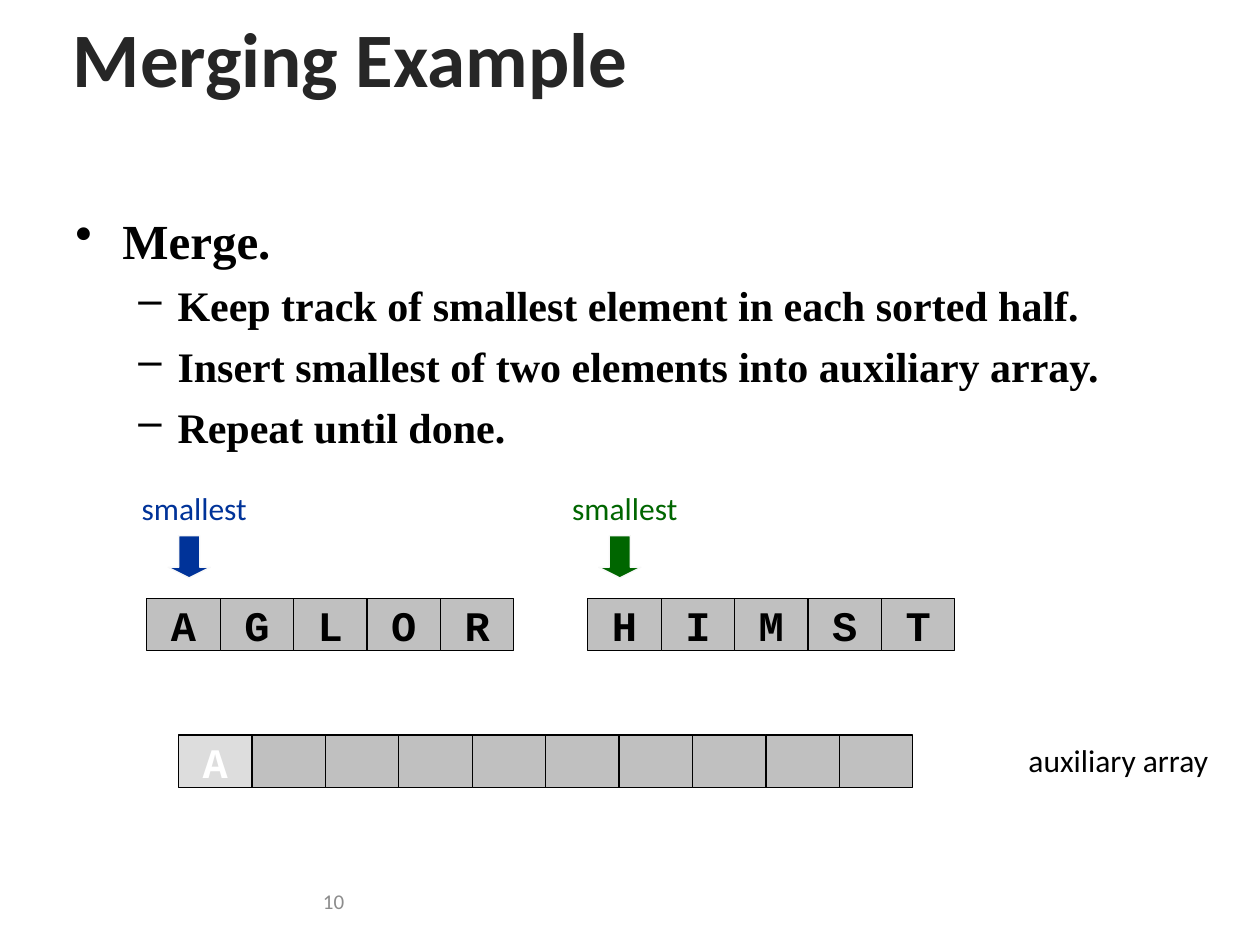
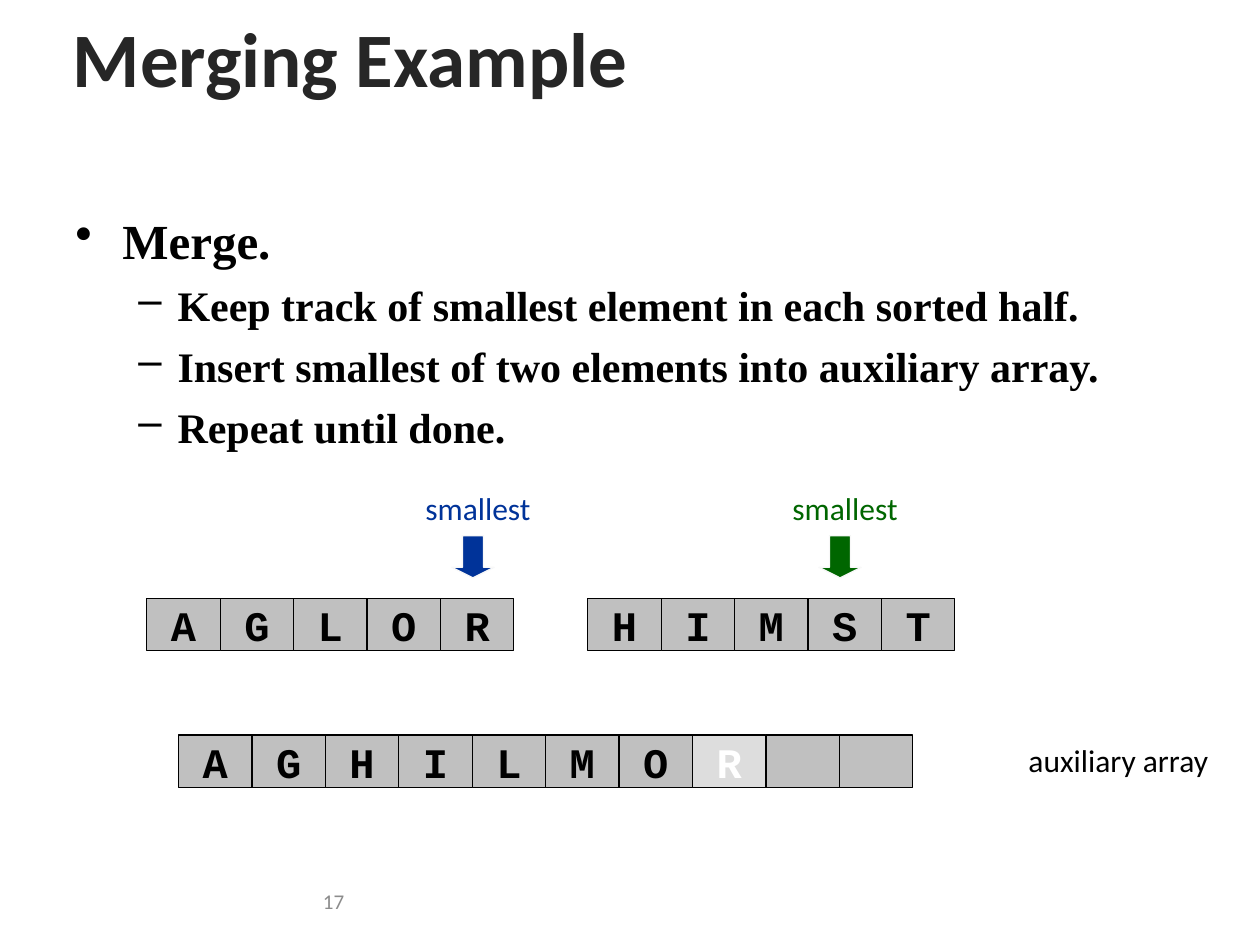
from lxml.etree import SubElement
from pptx import Presentation
from pptx.dml.color import RGBColor
from pptx.enum.shapes import MSO_SHAPE as Preset
from pptx.enum.text import MSO_ANCHOR as Anchor, PP_ALIGN as Align
from pptx.oxml.ns import qn
from pptx.util import Cm, Pt

COLORS = {
    "title": "262626", "text": "000000", "number": "8C8C8C",
    "left": "003399", "right": "006600", "arrow_edge": "F8F8F8",
    "cell": "C0C0C0", "newest": "DDDDDD", "newest_text": "FFFFFF",
}
FORMATS = {
    "title": {"name": "Calibri", "size": Pt(44), "bold": True},
    "point": {"name": "Times New Roman", "size": Pt(28), "bold": True},
    "subpoint": {"name": "Times New Roman", "size": Pt(24), "bold": True},
    "label": {"name": "Calibri", "size": Pt(18)},
    "number": {"name": "Calibri", "size": Pt(12)},
    "letter": {"name": "Courier New", "size": Pt(24), "bold": True},
}
BULLETS = {"point": ("•", 0, 0.95, -0.95), "subpoint": ("–", 1, 2.06, -0.79)}
POINTS = [
    ("point", "Merge."),
    ("subpoint", "Keep track of smallest element in each sorted half."),
    ("subpoint", "Insert smallest of two elements into auxiliary array."),
    ("subpoint", "Repeat until done."),
]
CELL_WIDTH, CELL_HEIGHT = 1.48, 1.06
HALVES_TOP, AUXILIARY_TOP, AUXILIARY_SIZE = 12.06, 14.82, 10
STEPS = [
    {"number": "10", "left": 1.27, "right": 9.95, "merged": "A"},
    {"number": "17", "left": 6.99, "right": 14.39, "merged": "AGHILMOR"},
]


def color(key):
    """Return the named colour."""
    return RGBColor.from_string(COLORS[key])


def apply(target, values):
    """Set every attribute in values on target."""
    for attribute, value in values.items():
        setattr(target, attribute, value)


class MergeDeck:
    """Hold the deck style and the slide being drawn."""

    def __init__(self):
        """Start an empty deck of 10 by 7.5 inches."""
        self.deck = Presentation()
        apply(self.deck, {"slide_width": Cm(25.4), "slide_height": Cm(19.05)})

    def new_slide(self):
        """Add a blank slide and make it current."""
        self.slide = self.deck.slides.add_slide(self.deck.slide_layouts[6])

    def styled_run(self, paragraph, words, style, ink, align=Align.LEFT):
        """Add one styled run to a paragraph."""
        paragraph.alignment = align
        run = paragraph.add_run()
        run.text = words
        apply(run.font, FORMATS[style])
        run.font.color.rgb = color(ink)

    def frame(self, box):
        """Add a wrapping text box and return its frame."""
        frame = self.slide.shapes.add_textbox(*map(Cm, box)).text_frame
        frame.word_wrap = True
        return frame

    def text(self, box, words, style, ink, align=Align.CENTER, anchor=Anchor.TOP):
        """Add a text box with one line."""
        frame = self.frame(box)
        frame.vertical_anchor = anchor
        self.styled_run(frame.paragraphs[0], words, style, ink, align)

    def bullets(self, box, points):
        """Add a bulleted list with two levels."""
        frame = self.frame(box)
        for index, (style, words) in enumerate(points):
            paragraph = frame.add_paragraph() if index else frame.paragraphs[0]
            mark, level, margin, indent = BULLETS[style]
            apply(paragraph, {"level": level, "space_before": Pt(6)})
            self.styled_run(paragraph, words, style, "text")
            properties = paragraph._p.get_or_add_pPr()
            properties.set("marL", str(Cm(margin)))
            properties.set("indent", str(Cm(indent)))
            SubElement(properties, qn("a:buChar")).set("char", mark)

    def block(self, shapes, preset, box, fill, edge):
        """Add a flat outlined preset shape."""
        block = shapes.add_shape(preset, *map(Cm, box))
        block.shadow.inherit = False
        block.fill.solid()
        block.fill.fore_color.rgb = color(fill)
        block.line.color.rgb = color(edge)
        block.line.width = Pt(0.75)
        return block

    def array(self, left, top, letters, size, newest=None):
        """Add a row of cells, with the newest one highlighted."""
        cells = self.slide.shapes.add_group_shape().shapes
        for index in range(size):
            fill, ink = ("newest", "newest_text") if index == newest else ("cell", "text")
            box = (left + index * CELL_WIDTH, top, CELL_WIDTH, CELL_HEIGHT)
            cell = self.block(cells, Preset.RECTANGLE, box, fill, "text")
            if index < len(letters):
                frame = cell.text_frame
                apply(frame, {"word_wrap": False, "vertical_anchor": Anchor.MIDDLE})
                self.styled_run(frame.paragraphs[0], letters[index], "letter", ink, Align.CENTER)

    def pointer(self, left, side):
        """Add a label and an arrow to the smallest element."""
        self.text((left, 9.74, 5.29, 1.02), "smallest", "label", side)
        arrow = self.block(self.slide.shapes, Preset.DOWN_ARROW,
                           (left + 2.12, 10.8, 0.85, 0.85), side, "arrow_edge")
        arrow.adjustments[0], arrow.adjustments[1] = 0.5, 0.25

    def merge_step(self, step):
        """Draw one step of the merge."""
        self.new_slide()
        self.text((1.27, 17.65, 5.92, 1.02), step["number"], "number", "number",
                  Align.RIGHT, Anchor.MIDDLE)
        self.text((20.11, AUXILIARY_TOP, 4.87, 1.02), "auxiliary array", "label", "text")
        for side in ("left", "right"):
            self.pointer(step[side], side)
        for left, letters in ((2.96, "AGLOR"), (11.85, "HIMST")):
            self.array(left, HALVES_TOP, letters, len(letters))
        merged = step["merged"]
        self.array(3.6, AUXILIARY_TOP, merged, AUXILIARY_SIZE, len(merged) - 1)
        self.text((1.22, 0.2, 23.34, 1.9), "Merging Example", "title", "title",
                  Align.LEFT, Anchor.MIDDLE)
        self.bullets((1.27, 4.11, 22.86, 12.57), POINTS)


def main():
    """Build and save the deck."""
    merge = MergeDeck()
    for step in STEPS:
        merge.merge_step(step)
    merge.deck.save("out.pptx")


if __name__ == "__main__":
    main()
